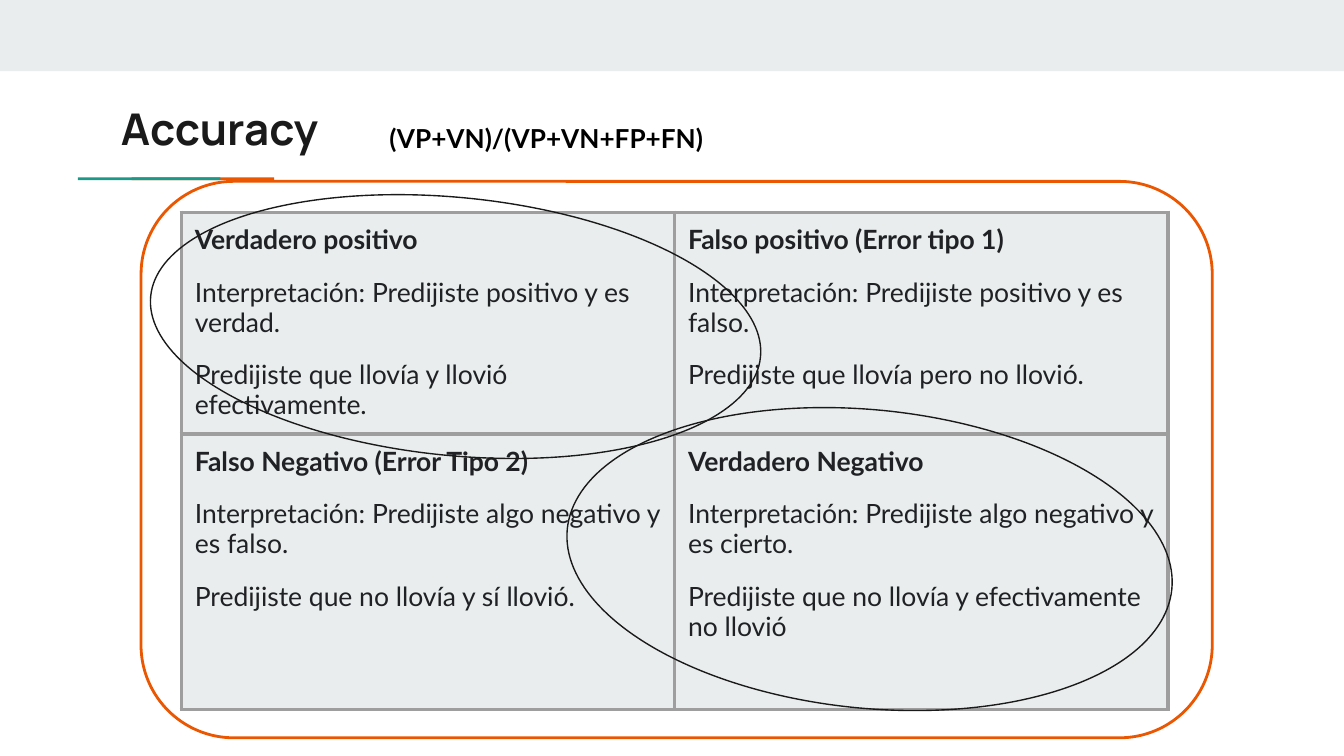
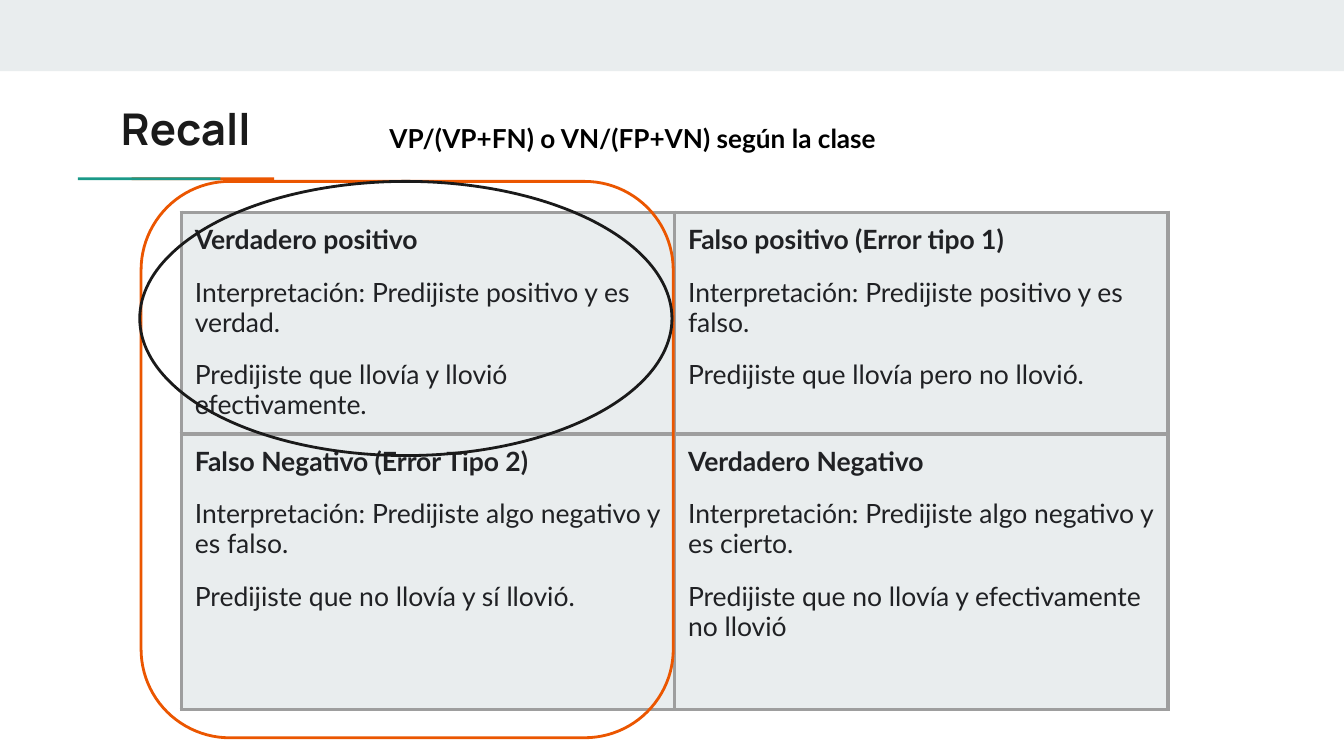
from lxml import etree
from pptx import Presentation, util as u
from pptx.dml import color
from pptx.enum import shapes, text
from pptx.oxml import ns

WIDTH, HEIGHT = 10, 5.625
INK, PALE, ORANGE, TEAL = "1A1A1A", "E9EDEE", "EB5600", "1A9988"
BLACK, CELL_INK, BORDER = "000000", "202124", "9E9E9E"
HEADING, BODY = "Manrope", "Lato"
RECT = shapes.MSO_SHAPE.RECTANGLE
ROUND = shapes.MSO_SHAPE.ROUNDED_RECTANGLE
OVAL = shapes.MSO_SHAPE.OVAL
CIRCLE = shapes.MSO_SHAPE.FLOWCHART_CONNECTOR

MATRIX = [
    [("Verdadero positivo",
      "Interpretación: Predijiste positivo y es verdad.",
      "Predijiste que llovía y llovió efectivamente."),
     ("Falso positivo (Error tipo 1)",
      "Interpretación: Predijiste positivo y es falso.",
      "Predijiste que llovía pero no llovió.")],
    [("Falso Negativo (Error Tipo 2)",
      "Interpretación: Predijiste algo negativo y es falso.",
      "Predijiste que no llovía y sí llovió."),
     ("Verdadero Negativo",
      "Interpretación: Predijiste algo negativo y es cierto.",
      "Predijiste que no llovía y efectivamente no llovió")],
]
COLUMN, ROWS = 3.67, (1.54, 2.05)
TABLE_LEFT, TABLE_TOP = 1.35, 1.58
FRAME_LEFT, FRAME_TOP, FRAME_HEIGHT = 1.05, 1.35, 4.14

PAGES = [
    ("Accuracy", "(VP+VN)/(VP+VN+FP+FN)", [
        (OVAL, (4.21, 3.05, 4.52, 2.22), INK, 0.75, 5.7),
        (OVAL, (1.11, 1.47, 4.56, 1.92), INK, 0.75, 5.7),
        (ROUND, (FRAME_LEFT, FRAME_TOP, 7.97, FRAME_HEIGHT), ORANGE, 1.5, 0),
    ]),
    ("Recall", "VP/(VP+FN) o VN/(FP+VN) según la clase", [
        (ROUND, (FRAME_LEFT, FRAME_TOP, 3.96, FRAME_HEIGHT), ORANGE, 1.5, 0),
        (CIRCLE, (1.04, FRAME_TOP, 3.96, 2.04), INK, 1.5, 0),
    ]),
]


def rgb(value):
    return color.RGBColor.from_string(value)


def inches(place):
    return [u.Inches(length) for length in place]


def add_span(para, words, font, size, ink, bold):
    span = para.add_run()
    span.text = words
    span.font.name = font
    span.font.size = u.Pt(size)
    span.font.bold = bold
    span.font.color.rgb = rgb(ink)


def add_block(page, place, fill):
    block = page.shapes.add_shape(RECT, *inches(place))
    block.shadow.inherit = False
    block.fill.solid()
    block.fill.fore_color.rgb = rgb(fill)
    block.line.fill.background()


def add_outline(page, kind, place, line, weight, angle):
    outline = page.shapes.add_shape(kind, *inches(place))
    outline.shadow.inherit = False
    outline.fill.background()
    outline.line.color.rgb = rgb(line)
    outline.line.width = u.Pt(weight)
    outline.rotation = angle


def write_line(box, words, font, size, ink):
    frame = box.text_frame
    frame.word_wrap = True
    frame.vertical_anchor = text.MSO_ANCHOR.TOP
    frame.margin_left = frame.margin_right = u.Inches(0.1)
    frame.margin_top = frame.margin_bottom = u.Inches(0.1)
    para = frame.paragraphs[0]
    para.alignment = text.PP_ALIGN.LEFT
    add_span(para, words, font, size, ink, True)
    return frame


def place_box(box, place):
    box.left, box.top, box.width, box.height = inches(place)


def set_borders(cell):
    properties = cell._tc.get_or_add_tcPr()
    for index, side in enumerate(("lnL", "lnR", "lnT", "lnB")):
        line = etree.Element(ns.qn(f"a:{side}"), w=str(u.Pt(2.25)))
        solid = etree.SubElement(line, ns.qn("a:solidFill"))
        etree.SubElement(solid, ns.qn("a:srgbClr"), val=BORDER)
        properties.insert(index, line)


def fill_cell(cell, lines):
    cell.margin_left = cell.margin_right = u.Inches(0.1)
    cell.margin_top = cell.margin_bottom = u.Inches(0.1)
    cell.fill.solid()
    cell.fill.fore_color.rgb = rgb(PALE)
    set_borders(cell)
    frame = cell.text_frame
    for index, words in enumerate(lines):
        para = frame.add_paragraph() if index else frame.paragraphs[0]
        para.line_spacing = 0.95
        para.space_before = u.Pt(12 if index else 0)
        para.space_after = u.Pt(12 if index == len(lines) - 1 else 0)
        add_span(para, words, BODY, 14.2, CELL_INK, index == 0)


def add_matrix(page):
    place = (TABLE_LEFT, TABLE_TOP, 2 * COLUMN, sum(ROWS))
    table = page.shapes.add_table(2, 2, *inches(place)).table
    table.first_row = table.horz_banding = False
    for column in table.columns:
        column.width = u.Inches(COLUMN)
    for row, height, contents in zip(table.rows, ROWS, MATRIX):
        row.height = u.Inches(height)
        for cell, lines in zip(row.cells, contents):
            fill_cell(cell, lines)


def add_page(deck, title, formula, outlines):
    page = deck.slides.add_slide(deck.slide_layouts[5])
    page.background.fill.solid()
    page.background.fill.fore_color.rgb = rgb("FFFFFF")
    add_block(page, (0, 0, WIDTH, 0.53), PALE)
    for left, fill in ((0.98, ORANGE), (0.58, TEAL)):
        add_block(page, (left, 1.32, 1.06, 0.02), fill)
    add_matrix(page)
    place_box(page.shapes.title, (0.8, 0.66, 8.41, 0.59))
    frame = write_line(page.shapes.title, title, HEADING, 23.4, INK)
    frame.auto_size = text.MSO_AUTO_SIZE.NONE
    box = page.shapes.add_textbox(*inches((2.8, 0.81, 7.2, 0.44)))
    frame = write_line(box, formula, BODY, 14, BLACK)
    frame.auto_size = text.MSO_AUTO_SIZE.SHAPE_TO_FIT_TEXT
    for outline in outlines:
        add_outline(page, *outline)


def main():
    deck = Presentation()
    deck.slide_width, deck.slide_height = inches((WIDTH, HEIGHT))
    for title, formula, outlines in PAGES:
        add_page(deck, title, formula, outlines)
    deck.save("out.pptx")


if __name__ == "__main__":
    main()
